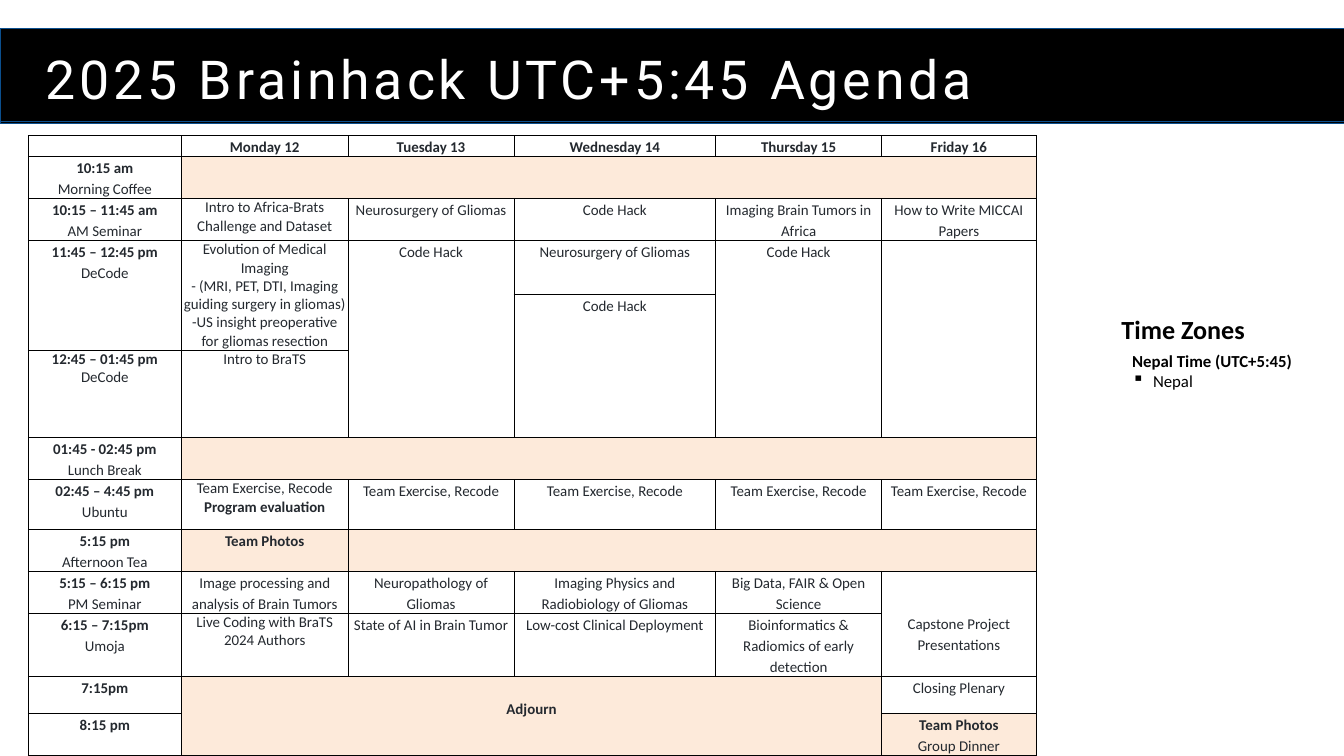
from dataclasses import dataclass

from lxml.etree import SubElement
from pptx import Presentation
from pptx.dml.color import RGBColor
from pptx.enum.shapes import MSO_SHAPE
from pptx.enum.text import MSO_ANCHOR, MSO_AUTO_SIZE, PP_ALIGN
from pptx.oxml.ns import qn
from pptx.util import Inches, Pt


@dataclass(frozen=True)
class Theme:
    """Colours, fonts and type sizes of the slide."""
    black: str = "000000"
    white: str = "FFFFFF"
    edge: str = "0B4F8E"
    ink: str = "24292F"
    peach: str = "FDEADA"
    body_font: str = "Calibri"
    title_font: str = "Roboto"
    title_size: float = 57.5
    heading_size: int = 28
    note_size: int = 18
    cell_size: int = 16


COLUMN_WIDTHS = [2.28, 2.48, 2.47, 3, 2.47, 2.3]
ROW_HEIGHTS = [0.31, 0.6, 0.6, 0.8, 0.8, 1.3, 0.6, 0.74, 0.6, 0.62, 0.91, 0.55, 0.6]
RECODE = "Team Exercise, Recode"
AGENDA = [
    ["", "*Monday 12", "*Tuesday 13", "*Wednesday 14", "*Thursday 15", "*Friday 16"],
    ["*10:15 am\nMorning Coffee", "", "", "", "", ""],
    ["*10:15 – 11:45 am\nAM Seminar", "Intro to Africa-Brats Challenge and Dataset",
     "Neurosurgery of Gliomas", "Code Hack", "Imaging Brain Tumors in Africa",
     "How to Write MICCAI Papers"],
    ["*11:45 – 12:45 pm\nDeCode",
     "Evolution of Medical Imaging\n- (MRI, PET, DTI, Imaging guiding surgery in gliomas)\n"
     "-US insight preoperative for gliomas resection",
     "Code Hack", "Neurosurgery of Gliomas", "Code Hack", ""],
    ["", "", "", "Code Hack", "", ""],
    ["*12:45 – 01:45 pm\nDeCode", "Intro to BraTS", "", "", "", ""],
    ["*01:45 - 02:45 pm\nLunch Break", "", "", "", "", ""],
    ["*02:45 – 4:45 pm\nUbuntu", RECODE + "\n*Program evaluation",
     RECODE, RECODE, RECODE, RECODE],
    ["*5:15 pm\nAfternoon Tea", "*Team Photos", "", "", "", ""],
    ["*5:15 – 6:15 pm\nPM Seminar", "Image processing and analysis of Brain Tumors",
     "Neuropathology of Gliomas", "Imaging Physics and Radiobiology of Gliomas",
     "Big Data, FAIR & Open Science", "Capstone Project Presentations"],
    ["*6:15 – 7:15pm\nUmoja", "Live Coding with BraTS 2024 Authors",
     "State of AI in Brain Tumor", "Low-cost Clinical Deployment",
     "Bioinformatics & Radiomics of early detection", ""],
    ["*7:15pm", "*Adjourn", "", "", "", "Closing Plenary"],
    ["*8:15 pm", "", "", "", "", "*Team Photos\nGroup Dinner"],
]
MERGES = [
    ((1, 1), (1, 5)), ((3, 0), (4, 0)), ((3, 1), (4, 1)), ((3, 2), (5, 2)),
    ((3, 4), (5, 4)), ((3, 5), (5, 5)), ((4, 3), (5, 3)), ((6, 1), (6, 5)),
    ((8, 2), (8, 5)), ((9, 5), (10, 5)), ((11, 1), (12, 4)),
]
PEACH_CELLS = {(1, 1), (6, 1), (8, 1), (8, 2), (11, 1), (12, 5)}
TIGHT_CELLS = {(2, 1), (3, 1), (5, 0), (5, 1), (7, 1), (10, 1)}
TOP_MARGINS = {(9, 5): 0.62, (11, 1): 0.31}


class AgendaSlide:
    """Draws the agenda elements on one page in one theme."""

    def __init__(self, page, theme):
        """Keep the page and the theme."""
        self.page = page
        self.theme = theme

    def style(self, paragraph, size, color, bold=False, font=None):
        """Set the font of a whole paragraph."""
        paragraph.font.name = font or self.theme.body_font
        paragraph.font.size = Pt(size)
        paragraph.font.bold = bold
        paragraph.font.color.rgb = RGBColor.from_string(color)

    def band(self, height):
        """Draw a full-width black band."""
        box = self.page.shapes.add_shape(
            MSO_SHAPE.RECTANGLE, 0, Inches(0.42), Inches(20), Inches(height))
        box.shadow.inherit = False
        box.fill.solid()
        box.fill.fore_color.rgb = RGBColor.from_string(self.theme.black)
        box.line.color.rgb = RGBColor.from_string(self.theme.edge)
        box.line.width = Pt(0.75)

    def title(self, text):
        """Place the title placeholder on one line above the bands."""
        box = self.page.shapes.title
        box.element.getparent().append(box.element)
        box.left, box.top = Inches(0.68), Inches(0.6)
        box.width, box.height = Inches(18.6), Inches(0.95)
        frame = box.text_frame
        frame.margin_left = frame.margin_right = frame.margin_top = frame.margin_bottom = 0
        frame.vertical_anchor = MSO_ANCHOR.TOP
        frame.auto_size = MSO_AUTO_SIZE.NONE
        frame.word_wrap = True
        para = frame.paragraphs[0]
        para.alignment = PP_ALIGN.LEFT
        para.line_spacing = Pt(74.8)
        span = para.add_run()
        span.text = text
        span._r.get_or_add_rPr().set("spc", "420")
        self.style(para, self.theme.title_size, self.theme.white, font=self.theme.title_font)

    def borders(self, cell):
        """Outline a cell in black."""
        properties = cell._tc.get_or_add_tcPr()
        for side in ("a:lnL", "a:lnR", "a:lnT", "a:lnB"):
            line = SubElement(properties, qn(side), w=str(Pt(1)))
            fill = SubElement(line, qn("a:solidFill"))
            SubElement(fill, qn("a:srgbClr"), val=self.theme.black)

    def cell(self, cell, text, place):
        """Fill and format the cell at a row and column."""
        cell.margin_left = cell.margin_right = Inches(0.02)
        cell.margin_top = Inches(TOP_MARGINS.get(place, 0))
        cell.margin_bottom = 0
        self.borders(cell)
        if place in PEACH_CELLS:
            cell.fill.solid()
            cell.fill.fore_color.rgb = RGBColor.from_string(self.theme.peach)
        else:
            cell.fill.background()
        cell.text_frame.text = text.replace("*", "")
        for para, line in zip(cell.text_frame.paragraphs, text.split("\n")):
            para.alignment = PP_ALIGN.CENTER
            para.line_spacing = 1.0 if place in TIGHT_CELLS else 1.15
            self.style(para, self.theme.cell_size, self.theme.ink, line.startswith("*"))

    def table(self, left, top):
        """Draw the week's timetable."""
        table = self.page.shapes.add_table(
            len(AGENDA), len(COLUMN_WIDTHS), Inches(left), Inches(top),
            Inches(sum(COLUMN_WIDTHS)), Inches(sum(ROW_HEIGHTS))).table
        table.first_row = table.horz_banding = False
        for column, width in zip(table.columns, COLUMN_WIDTHS):
            column.width = Inches(width)
        for row, height in zip(table.rows, ROW_HEIGHTS):
            row.height = Inches(height)
        for row, entries in enumerate(AGENDA):
            for column, text in enumerate(entries):
                self.cell(table.cell(row, column), text, (row, column))
        for first, last in MERGES:
            table.cell(*first).merge(table.cell(*last))

    def note(self, left, top, width, height, heading, size, bullets=()):
        """Write a bold heading with optional square bullets."""
        box = self.page.shapes.add_textbox(
            Inches(left), Inches(top), Inches(width), Inches(height))
        frame = box.text_frame
        frame.word_wrap = True
        frame.margin_left = frame.margin_right = Inches(0.1)
        frame.margin_top = frame.margin_bottom = Inches(0.1)
        frame.text = heading
        self.style(frame.paragraphs[0], size, self.theme.black, True)
        for text in bullets:
            para = frame.add_paragraph()
            para.text = text
            properties = para._p.get_or_add_pPr()
            properties.set("marL", str(Inches(0.31)))
            properties.set("indent", str(-Inches(0.31)))
            SubElement(properties, qn("a:buChar"), char="▪")
            self.style(para, size, self.theme.black)


def main():
    """Build and save the agenda deck."""
    deck = Presentation()
    deck.slide_width, deck.slide_height = Inches(20), Inches(11.25)
    theme = Theme()
    slide = AgendaSlide(deck.slides.add_slide(deck.slide_layouts[5]), theme)
    for height in (1.42, 1.38):
        slide.band(height)
    slide.title("2025 Brainhack UTC+5:45 Agenda")
    slide.table(0.42, 2.02)
    slide.note(16.75, 5.12, 2.83, 0.81, "Nepal Time (UTC+5:45)", theme.note_size, ["Nepal"])
    slide.note(16.59, 4.57, 2.24, 0.67, "Time Zones", theme.heading_size)
    deck.save("out.pptx")


if __name__ == "__main__":
    main()
